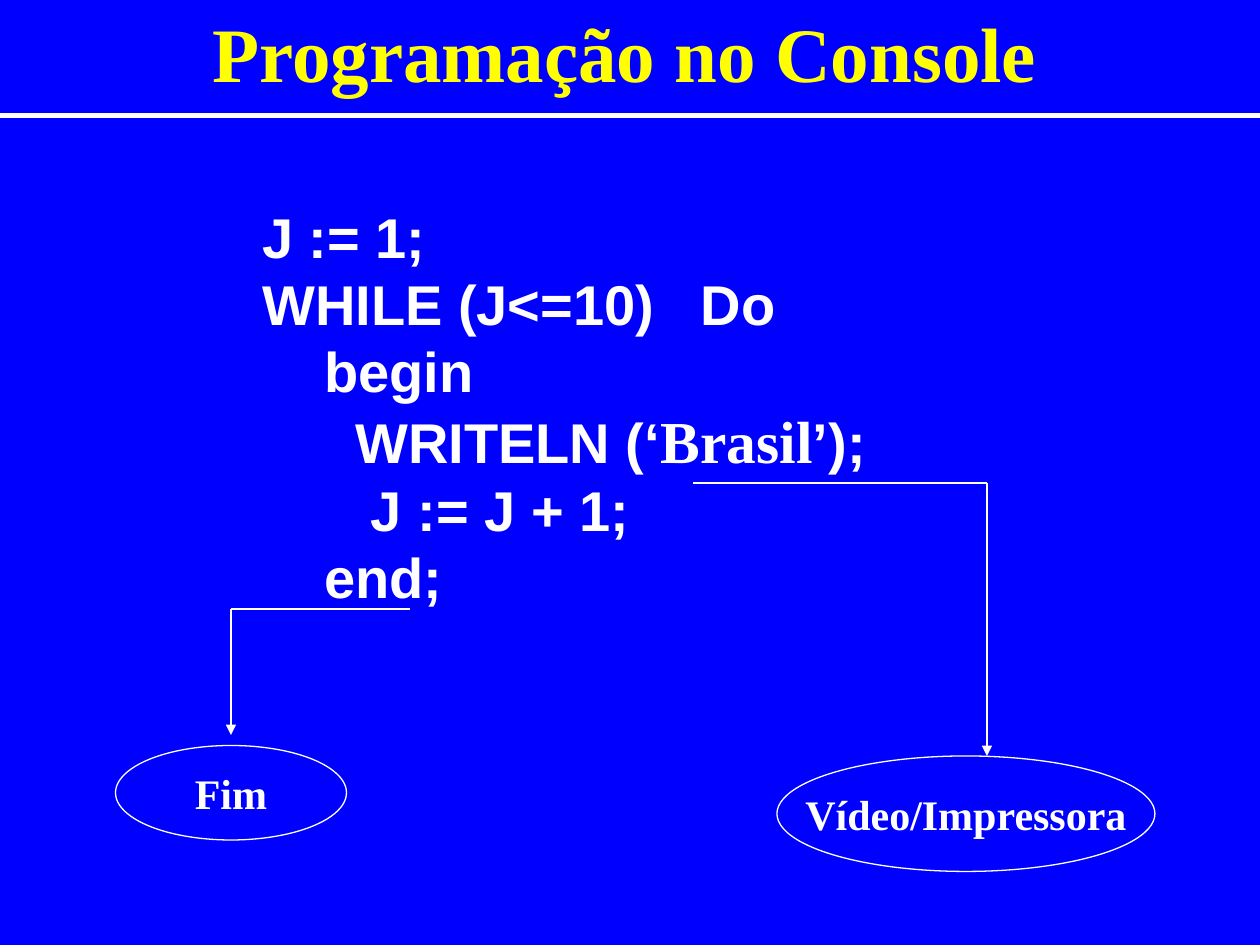
"""Builds a slide on a WHILE loop in Pascal with two labelled outcomes."""
from typing import NamedTuple

from lxml.etree import SubElement
from pptx import Presentation
from pptx.dml.color import RGBColor
from pptx.enum.shapes import MSO_CONNECTOR as Connector, MSO_SHAPE as Shape
from pptx.enum.text import MSO_ANCHOR as Anchor, MSO_AUTO_SIZE as AutoSize, PP_ALIGN as Align
from pptx.oxml.ns import qn
from pptx.util import Inches, Pt

COLORS = {"back": "0000FF", "title": "FFFF00", "ink": "FFFFFF"}
SERIF, SANS = "Times New Roman", "Arial"
COLUMNS, ROWS = 120, 90


class Place(NamedTuple):
    """Left, top, width and height in grid cells."""
    left: float
    top: float
    width: float
    height: float


class Outcome(NamedTuple):
    """An ellipse and the elbow that leads to it, in grid cells."""
    label: str
    place: Place
    start: float
    turn: float
    level: float
    tip: float


OUTCOMES = [
    Outcome("Fim", Place(11, 71, 22, 9), 39, 22, 58, 70),
    Outcome("Vídeo/Impressora", Place(74, 72, 36, 11), 66, 94, 46, 72),
]
CODE = [
    [("J := 1;", SANS, 32)],
    [("WHILE (J<=10)   Do", SANS, 32)],
    [("    begin", SANS, 32)],
    [("      WRITELN (‘", SANS, 32), ("Brasil", SERIF, 34), ("’);", SANS, 32)],
    [("       J := J + 1;", SANS, 32)],
    [("    end;", SANS, 32)],
]

deck = Presentation()
deck.slide_width, deck.slide_height = Inches(10), Inches(7.5)


def across(columns: float) -> int:
    """Turn grid columns into a length."""
    return round(deck.slide_width * columns / COLUMNS)


def down(rows: float) -> int:
    """Turn grid rows into a length."""
    return round(deck.slide_height * rows / ROWS)


def measure(place: Place) -> tuple:
    """Turn a place on the grid into lengths."""
    return across(place.left), down(place.top), across(place.width), down(place.height)


def color(name: str) -> RGBColor:
    """Look up a named colour."""
    return RGBColor.from_string(COLORS[name])


def write(para, text: str, font: str, size: float, ink: str = "ink") -> None:
    """Add a bold span to a paragraph."""
    span = para.add_run()
    span.text = text
    for name, value in {"name": font, "size": Pt(size), "bold": True}.items():
        setattr(span.font, name, value)
    span.font.color.rgb = color(ink)


def arrange(frame, **values) -> None:
    """Set attributes of a text frame."""
    for name, value in values.items():
        setattr(frame, name, value)


def draw_line(page, start: tuple, end: tuple, weight: float = 0.75, arrow: bool = False) -> None:
    """Draw a straight line between two grid points."""
    line = page.shapes.add_connector(
        Connector.STRAIGHT, across(start[0]), down(start[1]), across(end[0]), down(end[1]))
    line.line.width = Pt(weight)
    line.line.color.rgb = color("ink")
    if arrow:
        SubElement(line.line._get_or_add_ln(), qn("a:tailEnd"), type="triangle")
    SubElement(line._element.spPr, qn("a:effectLst"))


def draw_title(page, text: str) -> None:
    """Place and fill the title."""
    title = page.shapes.title
    title.left, title.top, title.width, title.height = measure(Place(9, 2.5, 101, 4.8))
    arrange(title.text_frame, vertical_anchor=Anchor.MIDDLE, auto_size=AutoSize.NONE,
            margin_left=0, margin_right=0, margin_top=0, margin_bottom=0)
    para = title.text_frame.paragraphs[0]
    para.alignment = Align.CENTER
    write(para, text, SERIF, 44, "title")


def draw_code(page) -> None:
    """Write the program, one paragraph a line."""
    frame = page.shapes.add_textbox(*measure(Place(23.8, 18.7, 83, 40))).text_frame
    arrange(frame, word_wrap=True)
    for number, spans in enumerate(CODE):
        para = frame.add_paragraph() if number else frame.paragraphs[0]
        for text, font, size in spans:
            write(para, text, font, size)


def draw_outcome(page, outcome: Outcome) -> None:
    """Draw an outcome with its elbow arrow."""
    corner = (outcome.turn, outcome.level)
    draw_line(page, (outcome.start, outcome.level), corner)
    draw_line(page, corner, (outcome.turn, outcome.tip), arrow=True)
    oval = page.shapes.add_shape(Shape.OVAL, *measure(outcome.place))
    oval.shadow.inherit = False
    oval.fill.background()
    oval.line.width = Pt(0.75)
    oval.line.color.rgb = color("ink")
    arrange(oval.text_frame, vertical_anchor=Anchor.MIDDLE, word_wrap=False)
    para = oval.text_frame.paragraphs[0]
    para.alignment = Align.CENTER
    write(para, outcome.label, SERIF, 24)


def main() -> None:
    """Build and save the slide."""
    page = deck.slides.add_slide(deck.slide_layouts.get_by_name("Title Only"))
    page.background.fill.solid()
    page.background.fill.fore_color.rgb = color("back")
    draw_title(page, "Programação no Console")
    draw_code(page)
    for outcome in OUTCOMES:
        draw_outcome(page, outcome)
    draw_line(page, (0, 11), (COLUMNS, 11), weight=3)
    deck.save("out.pptx")


if __name__ == "__main__":
    main()
